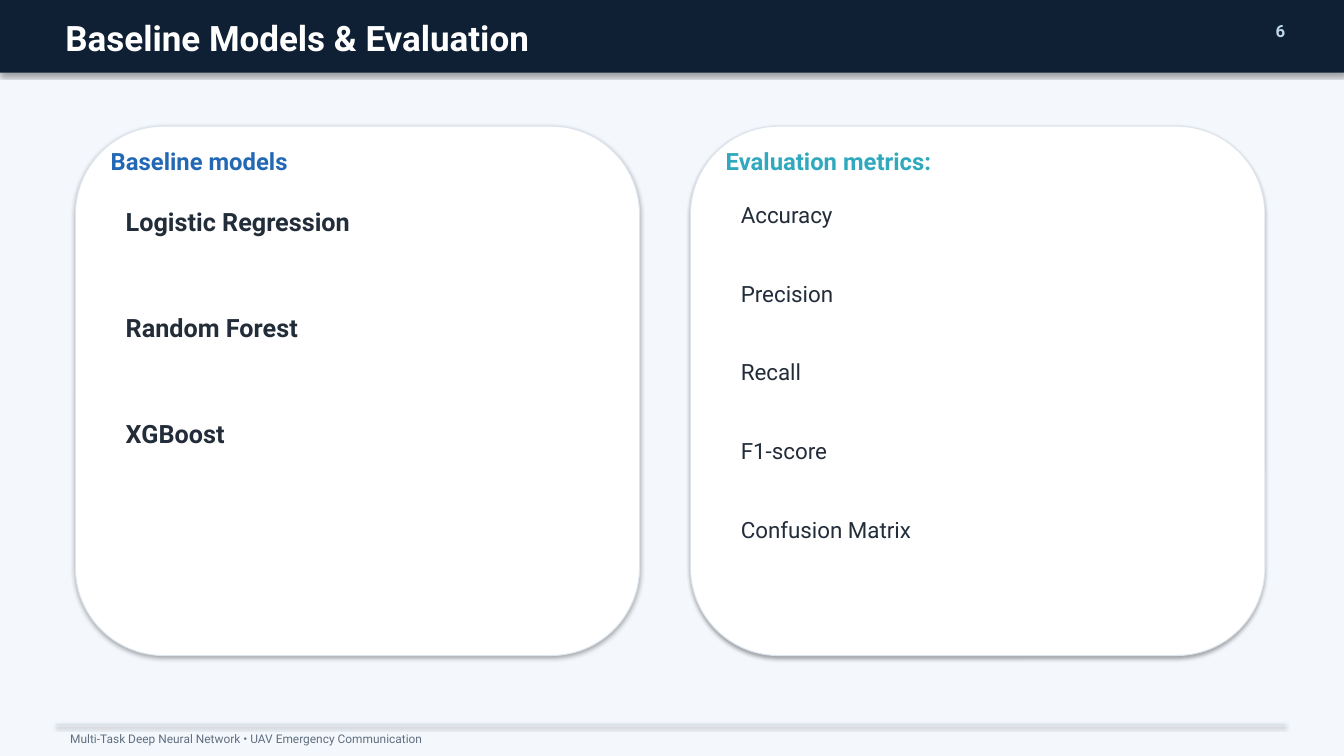
"""Build the slide on baseline models and evaluation metrics."""
from pptx import Presentation
from pptx.dml.color import RGBColor
from pptx.enum.shapes import MSO_SHAPE
from pptx.enum.text import PP_ALIGN
from pptx.util import Cm, Pt

RECTANGLE = MSO_SHAPE.RECTANGLE
ROUNDED = MSO_SHAPE.ROUNDED_RECTANGLE
LEFT, RIGHT = PP_ALIGN.LEFT, PP_ALIGN.RIGHT
FONT = "Roboto"
COLORS = {
    "background": "F4F8FC", "navy": "0F1F34", "white": "FFFFFF",
    "number": "BED7EB", "rule": "D7E1EB", "footer": "5F6E80",
    "border": "DCE4ED", "blue": "2268B4", "teal": "30A8BE", "ink": "232D3A",
}
WIDTH, HEIGHT = 33.87, 19.05
CARD_TOP, CARD_HEIGHT = 3.18, 13.34
HEADING_INSET, ITEM_INSET = 0.64, 1.02

deck = Presentation()
deck.slide_width, deck.slide_height = Cm(WIDTH), Cm(HEIGHT)
page = deck.slides.add_slide(deck.slide_layouts[6])


def add_panel(kind, left, top, width, height, fill, border=None):
    """Add a filled shape that keeps the theme shadow."""
    panel = page.shapes.add_shape(kind, Cm(left), Cm(top), Cm(width), Cm(height))
    panel.fill.solid()
    panel.fill.fore_color.rgb = RGBColor.from_string(COLORS[fill])
    if border:
        panel.line.color.rgb = RGBColor.from_string(COLORS[border])
        panel.line.width = Pt(0.75)
    else:
        panel.line.fill.background()


def add_label(text, left, top, width, height, size, color, bold=False, align=LEFT):
    """Add a single line of text."""
    box = page.shapes.add_textbox(Cm(left), Cm(top), Cm(width), Cm(height))
    box.text_frame.text = text
    para = box.text_frame.paragraphs[0]
    para.alignment = align
    span = para.runs[0]
    span.font.name = FONT
    span.font.size = Pt(size)
    span.font.bold = bold
    span.font.color.rgb = RGBColor.from_string(COLORS[color])


add_panel(RECTANGLE, 0, 0, WIDTH, HEIGHT, "background")
add_panel(RECTANGLE, 0, 0, WIDTH, 1.83, "navy")
add_label("Baseline Models & Evaluation", 1.4, 0.3, 29.21, 1.07, 25, "white", True)
add_label("6", 31.37, 0.41, 1.27, 0.76, 12, "number", True, RIGHT)
add_panel(RECTANGLE, 1.4, 18.24, 30.99, 0.03, "rule")
add_label("Multi-Task Deep Neural Network • UAV Emergency Communication",
          1.52, 18.31, 30.48, 0.51, 8.5, "footer")

cards = [
    {"left": 1.9, "width": 14.22, "heading": "Baseline models", "color": "blue",
     "items": ["Logistic Regression", "Random Forest", "XGBoost"],
     "top": 5.08, "step": 2.67, "height": 1.65, "size": 18, "bold": True},
    {"left": 17.4, "width": 14.48, "heading": "Evaluation metrics:", "color": "teal",
     "items": ["Accuracy", "Precision", "Recall", "F1-score", "Confusion Matrix"],
     "top": 4.95, "step": 1.98, "height": 1.27, "size": 16, "bold": False},
]
for card in cards:
    left, width = card["left"], card["width"]
    add_panel(ROUNDED, left, CARD_TOP, width, CARD_HEIGHT, "white", "border")
    add_label(card["heading"], left + HEADING_INSET, 3.56, width - 2 * HEADING_INSET,
              0.89, 17, card["color"], True)
    for index, item in enumerate(card["items"]):
        add_label(item, left + ITEM_INSET, card["top"] + index * card["step"],
                  width - 2 * ITEM_INSET, card["height"], card["size"], "ink",
                  card["bold"])

deck.save("out.pptx")
